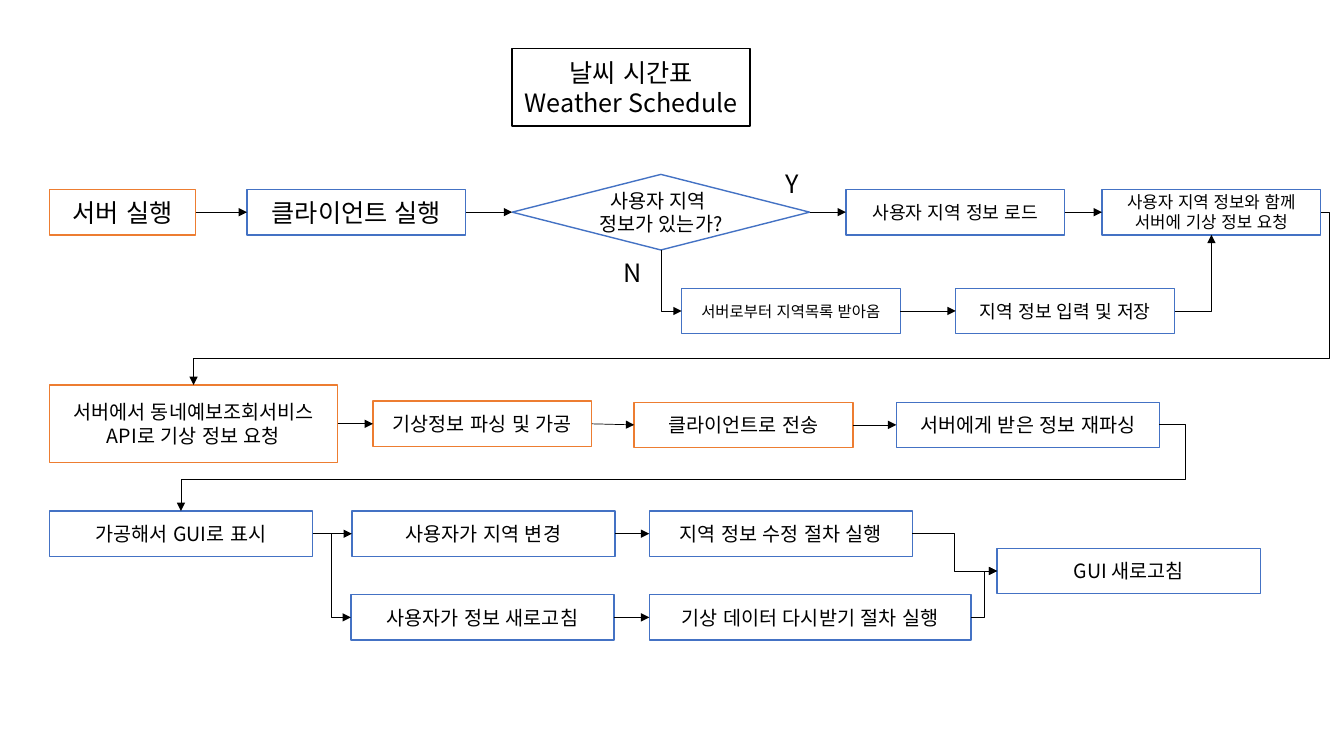
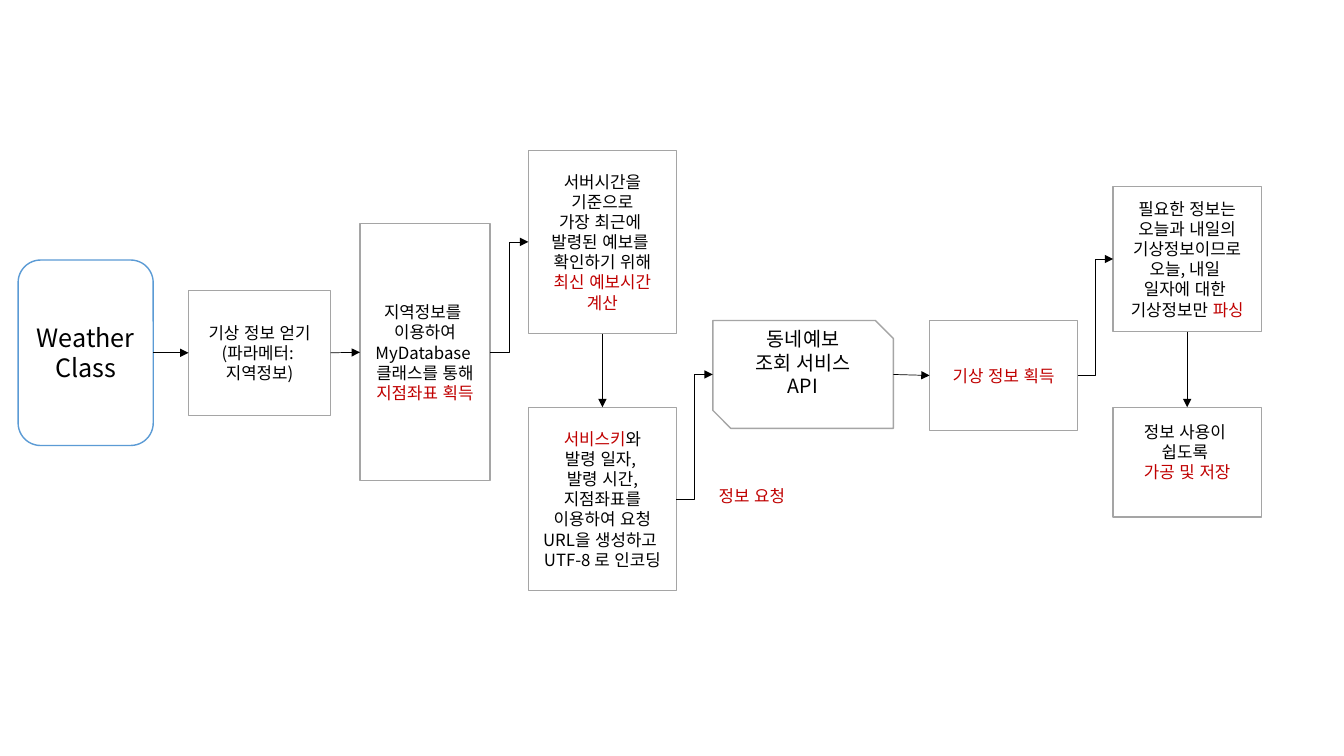
import pptx
import pptx.dml.color
import pptx.enum.dml
import pptx.enum.lang
import pptx.enum.shapes
import pptx.enum.text
import pptx.oxml
import pptx.oxml.ns
import pptx.util
from lxml import etree

Inches, Pt, qn = pptx.util.Inches, pptx.util.Pt, pptx.oxml.ns.qn
RGBColor = pptx.dml.color.RGBColor
SHAPE = pptx.enum.shapes.MSO_SHAPE
CONNECTOR = pptx.enum.shapes.MSO_CONNECTOR
ALIGN = pptx.enum.text.PP_ALIGN
ANCHOR = pptx.enum.text.MSO_ANCHOR

# Shared style
FONT = "Noto Sans CJK KR"
BLACK = RGBColor(0x00, 0x00, 0x00)
WHITE = RGBColor(0xFF, 0xFF, 0xFF)
RED = RGBColor(0xC0, 0x00, 0x00)
CLIENT_BLUE = RGBColor(0x44, 0x72, 0xC4)
SERVER_ORANGE = RGBColor(0xED, 0x7D, 0x31)
CLASS_BLUE = RGBColor(0x5B, 0x9B, 0xD5)
STEP_GRAY = RGBColor(0xA5, 0xA5, 0xA5)
LINE_PITCH = 1.2
STEP_H = 0.45
TOP, LEFT, BOTTOM, RIGHT = range(4)


def write(frame, paragraphs, size=14, color=BLACK, align=ALIGN.CENTER):
    """Fill a text frame; a paragraph is a string or a list of (text, color)."""
    for index, content in enumerate(paragraphs):
        paragraph = frame.paragraphs[0] if index == 0 else frame.add_paragraph()
        paragraph.alignment = align
        paragraph.line_spacing = Pt(round(size * LINE_PITCH, 1))
        runs = [(content, color)] if isinstance(content, str) else content
        for text, run_color in runs:
            run = paragraph.add_run()
            run.text = text
            run.font.size = Pt(size)
            run.font.name = FONT
            run.font.color.rgb = run_color
            run.font.language_id = pptx.enum.lang.MSO_LANGUAGE_ID.KOREAN
            latin = run.font._element.find(qn("a:latin"))
            east_asian = etree.Element(qn("a:ea"), typeface=FONT)
            latin.addnext(east_asian)


def step(slide, box, *paragraphs, outline=CLIENT_BLUE, kind=SHAPE.RECTANGLE,
         bottom_inset=0.05, **text_format):
    """Draw one outlined step of a flow."""
    shape = slide.shapes.add_shape(kind, *map(Inches, box))
    shape.shadow.inherit = False
    shape.fill.solid()
    shape.fill.fore_color.rgb = WHITE
    shape.line.color.rgb = outline
    shape.line.width = Pt(1)
    shape.text_frame.word_wrap = True
    shape.text_frame.vertical_anchor = ANCHOR.MIDDLE
    shape.text_frame.margin_bottom = Inches(bottom_inset)
    write(shape.text_frame, paragraphs, **text_format)
    return shape


def label(slide, box, text, **text_format):
    """Place a free label beside an arrow."""
    frame = slide.shapes.add_textbox(*map(Inches, box)).text_frame
    frame.word_wrap = False
    frame.auto_size = pptx.enum.text.MSO_AUTO_SIZE.SHAPE_TO_FIT_TEXT
    write(frame, [text], align=ALIGN.LEFT, **text_format)


def side_point(shape, side):
    x = {LEFT: 0, RIGHT: shape.width}.get(side, shape.width // 2)
    y = {TOP: 0, BOTTOM: shape.height}.get(side, shape.height // 2)
    return shape.left + x, shape.top + y


def arrow(slide, source, target, source_side=RIGHT, target_side=LEFT,
          bend=None, adjust=()):
    """Join two steps; bend is the number of the bent connector, if any."""
    x1, y1 = side_point(source, source_side)
    x2, y2 = side_point(target, target_side)
    kind = CONNECTOR.ELBOW if bend else CONNECTOR.STRAIGHT
    connector = slide.shapes.add_connector(kind, x1, y1, x2, y2)
    # Snipped shapes number their connection sites differently
    if source.auto_shape_type != SHAPE.SNIP_2_DIAG_RECTANGLE:
        connector.begin_connect(source, source_side)
    if target.auto_shape_type != SHAPE.SNIP_2_DIAG_RECTANGLE:
        connector.end_connect(target, target_side)

    properties = connector._element.spPr
    geometry = properties.find(qn("a:prstGeom"))
    if bend:
        geometry.set("prst", f"bentConnector{bend}")
    for number, value in enumerate(adjust, 1):
        etree.SubElement(geometry.find(qn("a:avLst")), qn("a:gd"),
                         name=f"adj{number}", fmla=f"val {round(value * 100000)}")
    if bend == 2 and source_side == BOTTOM:
        # A bend that leaves downwards is a mirrored, turned one
        mid_x, mid_y = (x1 + x2) // 2, (y1 + y2) // 2
        half_w, half_h = (y2 - y1) // 2, (x2 - x1) // 2
        connector.begin_x, connector.begin_y = mid_x + half_w, mid_y - half_h
        connector.end_x, connector.end_y = mid_x - half_w, mid_y + half_h
        properties.find(qn("a:xfrm")).set("rot", str(270 * 60000))

    connector.line.color.rgb = BLACK
    connector.line.width = Pt(0.5)
    etree.SubElement(properties.find(qn("a:ln")), qn("a:tailEnd"), type="triangle")
    etree.SubElement(properties, qn("a:effectLst"))


def chain(slide, *steps):
    for source, target in zip(steps, steps[1:]):
        arrow(slide, source, target)


def location_flow(slide, left, top):
    """Start both programs and settle the user's location."""
    width, row, branch_row = 2.17, top + 0.26, top + 1.24
    server = step(slide, (left, row, 1.45, STEP_H), "서버 실행",
                  outline=SERVER_ORANGE, size=18)
    client = step(slide, (left + 1.96, row, width, STEP_H), "클라이언트 실행", size=18)
    known = step(slide, (left + 4.59, top + 0.11, 2.95, 0.75),
                 "사용자 지역 ", "정보가 있는가?", kind=SHAPE.FLOWCHART_DECISION)
    load = step(slide, (left + 7.9, row, width, STEP_H), "사용자 지역 정보 로드", size=13)
    request = step(slide, (left + 10.44, row, width, STEP_H),
                   "사용자 지역 정보와 함께 서버에 기상 정보 요청", size=12)
    chain(slide, server, client, known, load, request)
    label(slide, (left + 7.2, top, 0.34, 0.4), "Y", size=18)

    # Branch for an unknown location
    label(slide, (left + 5.6, top + 0.88, 0.39, 0.4), "N", size=18)
    regions = step(slide, (left + 6.27, branch_row, width, STEP_H),
                   "서버로부터 지역목록 받아옴", size=11)
    save = step(slide, (left + 8.99, branch_row, width, STEP_H),
                "지역 정보 입력 및 저장", size=13)
    arrow(slide, known, regions, BOTTOM, LEFT, bend=2)
    arrow(slide, regions, save)
    arrow(slide, save, request, RIGHT, BOTTOM, bend=2)
    return request


def server_flow(slide, left, top):
    """Fetch the weather on the server and hand it to the client."""
    fetch = step(slide, (left, top, 2.86, 0.77),
                 "서버에서 동네예보조회서비스 API로 기상 정보 요청", outline=SERVER_ORANGE)
    process = step(slide, (left + 3.21, top + 0.16, 2.17, STEP_H),
                   "기상정보 파싱 및 가공", outline=SERVER_ORANGE)
    send = step(slide, (left + 5.8, top + 0.17, 2.17, STEP_H),
                "클라이언트로 전송", outline=SERVER_ORANGE)
    reparse = step(slide, (left + 8.4, top + 0.17, 2.61, STEP_H),
                   "서버에게 받은 정보 재파싱")
    chain(slide, fetch, process, send, reparse)
    return fetch, reparse


def display_flow(slide, left, top):
    """Show the weather and refresh it on request."""
    width, lower = 2.61, top + 0.83
    show = step(slide, (left, top, width, STEP_H), "가공해서 GUI로 표시")
    change = step(slide, (left + 3, top, width, STEP_H), "사용자가 지역 변경")
    edit = step(slide, (left + 5.95, top, width, STEP_H), "지역 정보 수정 절차 실행")
    reload = step(slide, (left + 2.99, lower, width, STEP_H), "사용자가 정보 새로고침")
    refetch = step(slide, (left + 5.95, lower, 3.19, STEP_H),
                   "기상 데이터 다시받기 절차 실행")
    refresh = step(slide, (left + 9.4, top + 0.37, width, STEP_H), "GUI 새로고침")
    chain(slide, show, change, edit)
    chain(slide, reload, refetch)
    for source, target in ((show, reload), (edit, refresh), (refetch, refresh)):
        arrow(slide, source, target, bend=3)
    return show


def schedule_slide(slide):
    step(slide, (5.08, 0.48, 2.36, 0.77), "날씨 시간표", "Weather Schedule",
         outline=BLACK, size=18)
    left = 0.49
    request = location_flow(slide, left, 1.62)
    fetch, reparse = server_flow(slide, left, 3.82)
    show = display_flow(slide, left, 5.07)
    arrow(slide, request, fetch, RIGHT, TOP, bend=4, adjust=(-0.008, 0.848))
    arrow(slide, reparse, show, RIGHT, TOP, bend=4, adjust=(-0.026, 0.633))


def request_flow(slide, left, top):
    """Turn a location into a request to the forecast service."""
    gray = dict(outline=STEP_GRAY, size=12)
    weather = step(slide, (left, top + 1.09, 1.34, 1.84), "Weather", "Class",
                   kind=SHAPE.ROUNDED_RECTANGLE, outline=CLASS_BLUE, size=18)
    get_info = step(slide, (left + 1.69, top + 1.39, 1.41, 1.24),
                    "기상 정보 얻기", "(파라메터: ", "지역정보)", **gray)
    coordinates = step(slide, (left + 3.39, top + 0.73, 1.29, 2.55),
                       "지역정보를 ", "이용하여 MyDatabase ", "클래스를 통해",
                       [("지점좌표 획득", RED)], **gray)
    latest = step(slide, (left + 5.06, top, 1.47, 1.82),
                  "서버시간을", "기준으로", "가장 최근에 ", "발령된 예보를 ",
                  "확인하기 위해", [("최신 예보시간 계산", RED)], **gray)
    address = step(slide, (left + 5.06, top + 2.55, 1.47, 1.82),
                   [("서비스키", RED), ("와", BLACK)], "발령 일자, ", "발령 시간,",
                   "지점좌표를 이용하여 요청URL을 생성하고 ", "UTF-8 로 인코딩", **gray)
    chain(slide, weather, get_info, coordinates)
    arrow(slide, coordinates, latest, bend=3)
    arrow(slide, latest, address, BOTTOM, TOP)
    return address


def response_flow(slide, left, top):
    """Receive the forecast, keep what is needed and store it."""
    gray = dict(outline=STEP_GRAY, size=12)
    service = step(slide, (left, top + 1.33, 1.79, 1.07),
                   "동네예보", "조회 서비스", "API", outline=STEP_GRAY,
                   kind=SHAPE.SNIP_2_DIAG_RECTANGLE, bottom_inset=0.29)
    receive = step(slide, (left + 2.15, top + 1.33, 1.47, 1.09),
                   "기상 정보 획득", color=RED, **gray)
    parsing = step(slide, (left + 3.97, top, 1.47, 1.44),
                   "필요한 정보는", "오늘과 내일의 기상정보이므로", "오늘, 내일 ",
                   "일자에 대한 ", [("기상정보만 ", BLACK), ("파싱", RED)], **gray)
    store = step(slide, (left + 3.97, top + 2.19, 1.47, 1.09),
                 "정보 사용이 ", "쉽도록 ", [("가공 및 저장", RED)],
                 bottom_inset=0.25, **gray)
    arrow(slide, service, receive)
    arrow(slide, receive, parsing, bend=3)
    arrow(slide, parsing, store, BOTTOM, TOP)
    return service


def weather_class_slide(slide):
    address = request_flow(slide, 0.18, 1.49)
    service = response_flow(slide, 7.07, 1.85)
    arrow(slide, address, service, bend=3)
    label(slide, (7.03, 4.77, 0.93, 0.3), "정보 요청", size=12, color=RED)


def main():
    deck = pptx.Presentation()
    deck.slide_width, deck.slide_height = Inches(13.33), Inches(7.5)
    for build in (schedule_slide, weather_class_slide):
        build(deck.slides.add_slide(deck.slide_layouts[6]))
    deck.save("out.pptx")


if __name__ == "__main__":
    main()
